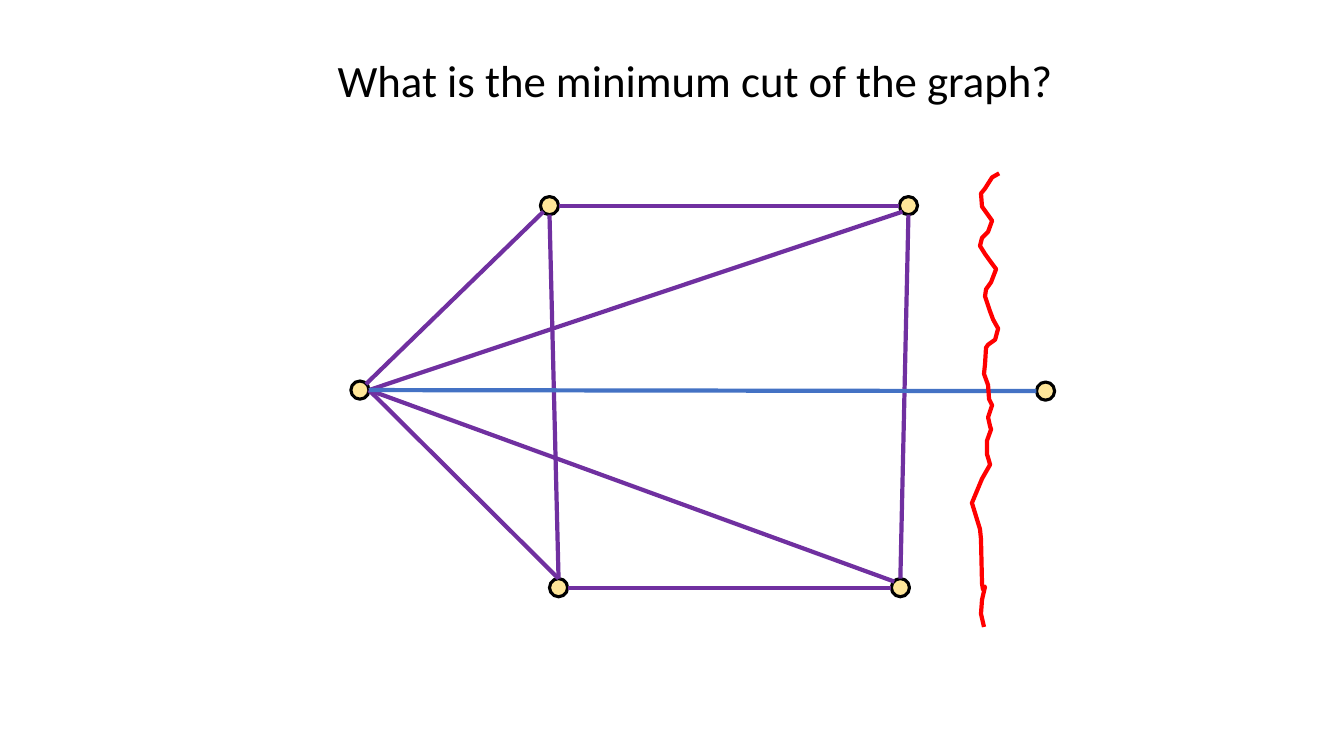
from collections import namedtuple

from lxml.etree import SubElement
from pptx import Presentation
from pptx.dml.color import RGBColor
from pptx.enum.shapes import MSO_CONNECTOR, MSO_SHAPE
from pptx.enum.text import MSO_AUTO_SIZE
from pptx.oxml.ns import qn
from pptx.util import Pt

SCALE = 9144
NODE = 18
COLORS = {
    "text": "000000",
    "node": "FFE699",
    "outline": "000000",
    "edge": "7030A0",
    "long_edge": "4472C4",
    "cut": "FF0000",
}
Box = namedtuple("Box", "left top width height")

NODES = {
    "west": (0, 183),
    "southwest": (197, 379),
    "northwest": (188, 0),
    "southeast": (536, 379),
    "northeast": (544, 0),
    "east": (680, 184),
}
PORTS = {
    "top": (9, 0),
    "bottom": (9, 18),
    "left": (0, 9),
    "right": (18, 9),
    "top left": (3, 3),
    "top right": (15, 3),
    "bottom left": (3, 15),
}
EDGES = [
    ("west", "top right", "northwest", "bottom left", "edge"),
    ("west", "right", "northeast", "bottom left", "edge"),
    ("northwest", "right", "northeast", "left", "edge"),
    ("west", "right", "southwest", "top", "edge"),
    ("northwest", "bottom", "southwest", "top", "edge"),
    ("northeast", "bottom", "southeast", "top", "edge"),
    ("southwest", "right", "southeast", "left", "edge"),
    ("west", "right", "southeast", "top left", "edge"),
    ("west", "right", "east", "left", "long_edge"),
]
CUT_POINTS = [
    (27, 0), (20, 4), (13, 15), (9, 20), (10, 33), (20, 47), (16, 58),
    (10, 64), (8, 72), (13, 80), (18, 87), (24, 95), (19, 108), (14, 115),
    (13, 122), (18, 137), (21, 145), (26, 154), (23, 165), (16, 170),
    (14, 173), (13, 189), (12, 199), (16, 210), (17, 224), (20, 230),
    (16, 242), (18, 251), (19, 254), (15, 265), (15, 279), (16, 282),
    (18, 289), (10, 303), (0, 327), (8, 353), (9, 363), (10, 407),
    (11, 413), (13, 410), (10, 423), (9, 437), (12, 450),
]


def px(*lengths):
    return [length * SCALE for length in lengths]


def color(name):
    return RGBColor.from_string(COLORS[name])


def set_line(shape, name, width):
    shape.line.color.rgb = color(name)
    shape.line.width = Pt(width)


def add_title(page, box, text):
    frame = page.shapes.add_textbox(*px(*box)).text_frame
    frame.word_wrap = True
    frame.auto_size = MSO_AUTO_SIZE.SHAPE_TO_FIT_TEXT
    span = frame.paragraphs[0].add_run()
    span.text = text
    for key, value in {"name": "Calibri", "size": Pt(32)}.items():
        setattr(span.font, key, value)
    span.font.color.rgb = color("text")


def add_graph(page, box):
    def port_position(node, port):
        (x, y), (dx, dy) = NODES[node], PORTS[port]
        return px(box.left + x + dx, box.top + y + dy)

    for x, y in NODES.values():
        node = page.shapes.add_shape(
            MSO_SHAPE.OVAL, *px(box.left + x, box.top + y, NODE, NODE))
        node.shadow.inherit = False
        node.fill.solid()
        node.fill.fore_color.rgb = color("node")
        set_line(node, "outline", 2.25)

    for start, start_port, end, end_port, name in EDGES:
        edge = page.shapes.add_connector(
            MSO_CONNECTOR.STRAIGHT,
            *port_position(start, start_port), *port_position(end, end_port))
        set_line(edge, name, 3)
        SubElement(edge._element.spPr, qn("a:effectLst"))


def add_cut(page, box):
    builder = page.shapes.build_freeform(*CUT_POINTS[0], scale=SCALE)
    builder.add_line_segments(CUT_POINTS[1:], close=False)
    cut = builder.convert_to_shape(*px(box.left, box.top))
    cut.shadow.inherit = False
    cut.fill.background()
    set_line(cut, "cut", 3)


def main():
    deck = Presentation()
    deck.slide_width, deck.slide_height = px(1333, 750)
    page = deck.slides.add_slide(deck.slide_layouts[6])
    add_title(page, Box(325, 47, 803, 64), "What is the minimum cut of the graph?")
    add_graph(page, Box(348, 195, 698, 397))
    add_cut(page, Box(964, 172, 27, 450))
    deck.save("out.pptx")


if __name__ == "__main__":
    main()
